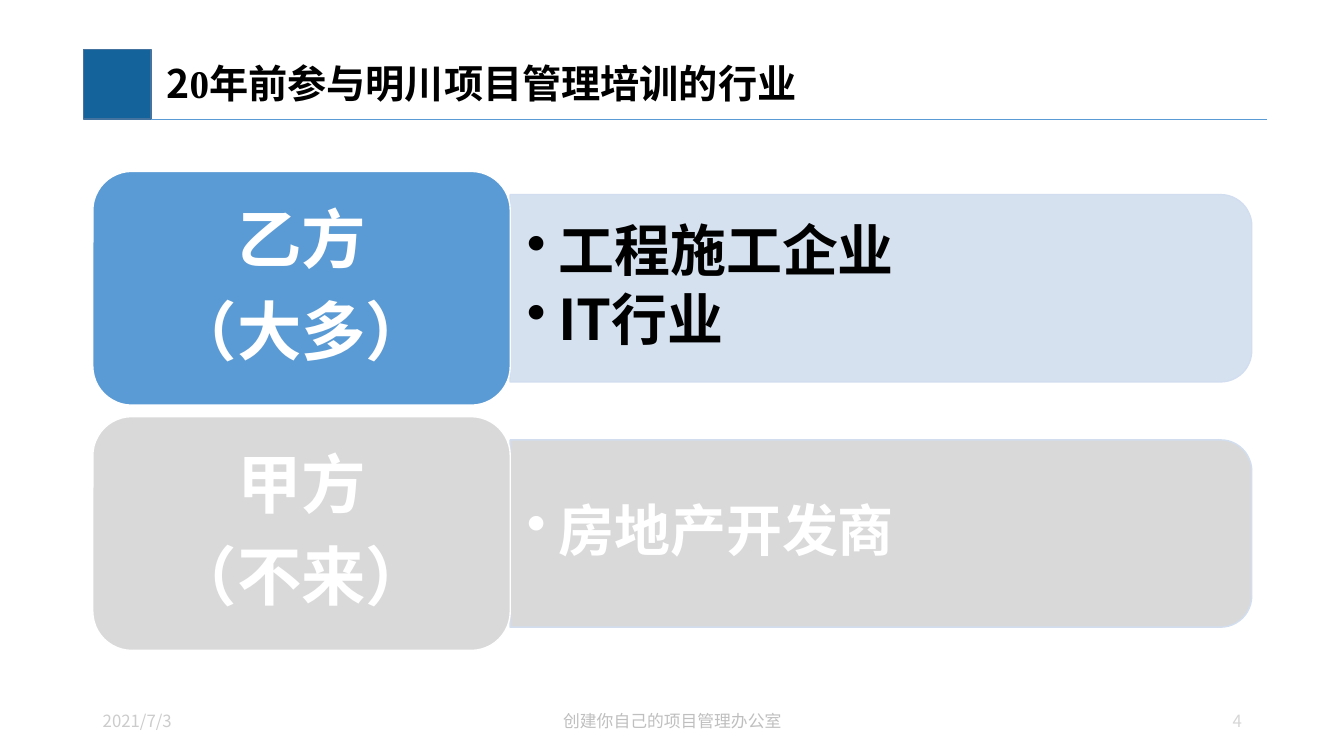
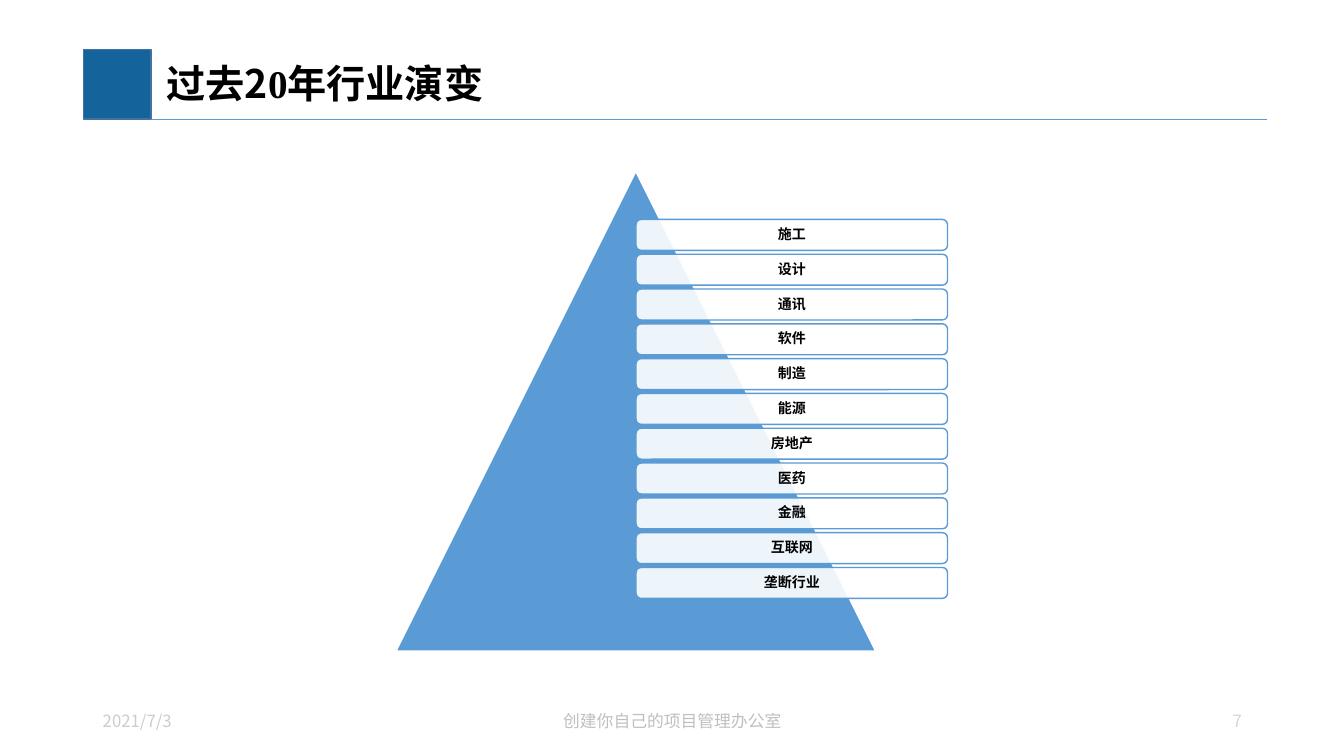
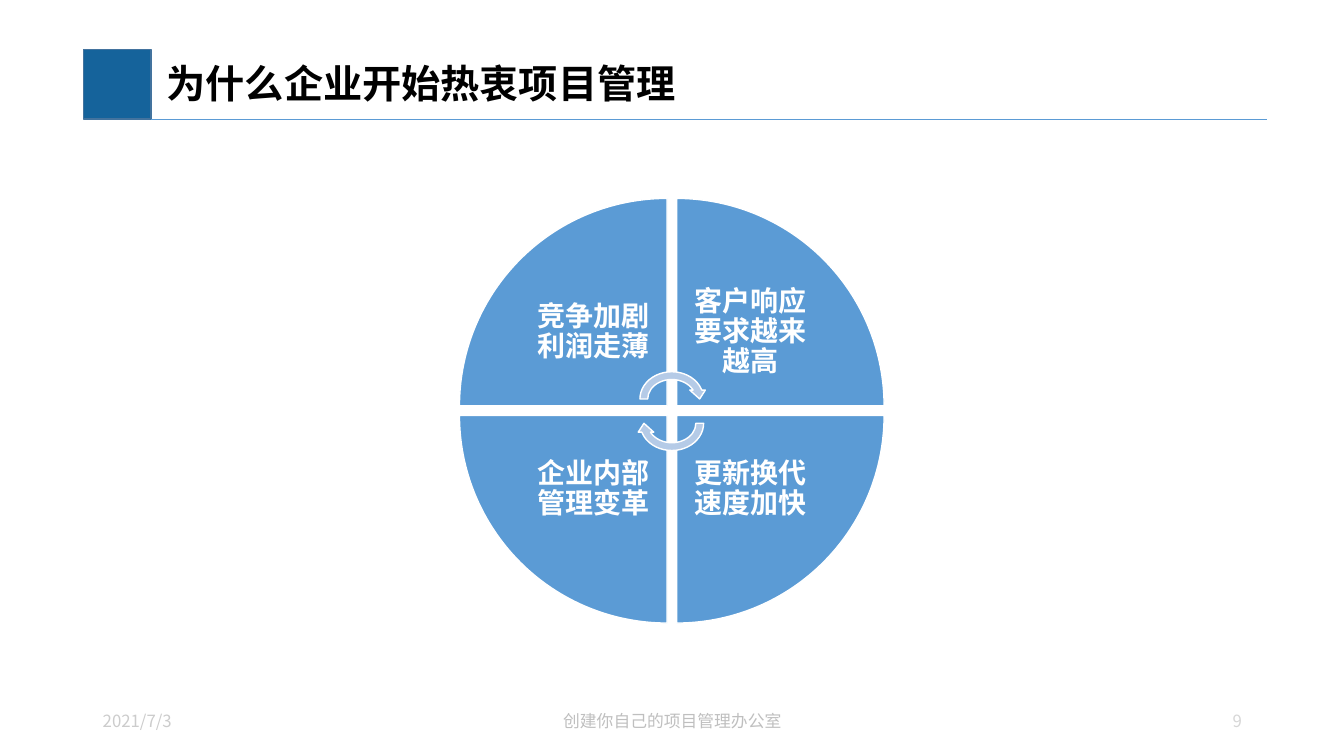
from pptx import Presentation
from pptx.dml.color import RGBColor
from pptx.enum.shapes import MSO_CONNECTOR, MSO_SHAPE
from pptx.enum.text import MSO_ANCHOR, PP_ALIGN
from pptx.oxml.ns import qn
from pptx.util import Cm, Pt
from lxml import etree

RECT, ROUNDED, TRIANGLE = MSO_SHAPE.RECTANGLE, MSO_SHAPE.ROUNDED_RECTANGLE, MSO_SHAPE.ISOSCELES_TRIANGLE
ROUND_TOP, ARROW = MSO_SHAPE.ROUND_2_SAME_RECTANGLE, MSO_SHAPE.CIRCULAR_ARROW
WEDGE = MSO_SHAPE.PIE_WEDGE
STRAIGHT, MIDDLE = MSO_CONNECTOR.STRAIGHT, MSO_ANCHOR.MIDDLE
LEFT, CENTER, RIGHT = PP_ALIGN.LEFT, PP_ALIGN.CENTER, PP_ALIGN.RIGHT
FONT, DIGIT_FONT = "Noto Sans CJK SC", "Times New Roman"
COLORS = {
    "band": "15639B", "band_line": "43739E", "blue": "5B9BD5", "pale": "D2DEEF",
    "arrow": "B5CBE7", "gray": "D9D9D9", "white": "FFFFFF", "black": "000000",
    "date": "CCCCCC", "footer": "BFBFBF", "number": "D6D6D6",
}


def draw(page, kind, box, fill, line, rotation=0, opacity=100):
    """Add a preset shape; box is left, top, width, height in cm."""
    shape = page.shapes.add_shape(kind, *[Cm(side) for side in box])
    shape.shadow.inherit = False
    shape.rotation = rotation
    shape.fill.solid()
    shape.fill.fore_color.rgb = RGBColor.from_string(COLORS[fill])
    shape.line.color.rgb = RGBColor.from_string(COLORS[line])
    shape.line.width = Pt(1)
    if opacity < 100:
        color = shape._element.spPr.find(qn("a:solidFill"))[0]
        etree.SubElement(color, qn("a:alpha"), val=str(opacity * 1000))
    return shape


def write(target, lines, size, color, align=CENTER, bold=True, insets=(0.25, 0.13, 0.25, 0.13),
          spacing=0.9, after=0, bullet=False):
    """Fill a shape or text box; a line is a string or a list of spans."""
    frame = target.text_frame
    frame.word_wrap = True
    frame.vertical_anchor = MIDDLE
    frame.margin_left, frame.margin_top, frame.margin_right, frame.margin_bottom = [Cm(i) for i in insets]
    for index, line in enumerate(lines):
        para = frame.paragraphs[0] if index == 0 else frame.add_paragraph()
        para.alignment = align
        para.line_spacing = spacing
        para.space_after = Pt(size * after)
        for piece in [line] if isinstance(line, str) else line:
            span = para.add_run()
            span.text = piece
            span.font.size, span.font.bold, span.font.name = Pt(size), bold, FONT
            span.font.color.rgb = RGBColor.from_string(COLORS[color])
            etree.SubElement(span.font._element, qn("a:ea"), typeface=FONT)
        if bullet:
            properties = para._p.get_or_add_pPr()
            properties.set("marL", str(Cm(0.79)))
            properties.set("indent", str(-Cm(0.79)))
            etree.SubElement(properties, qn("a:buChar"), char="•")


deck = Presentation()
deck.slide_width, deck.slide_height = Cm(33.87), Cm(19.05)

# Shared title band, rule and footers
titles = [
    (["2", "0", "年前参与明川项目管理培训的行业"], "4"),
    (["过去2", "0", "年行业演变"], "7"),
    (["为什么企业开始热衷项目管理"], "9"),
]
pages = []
for title, number in titles:
    page = deck.slides.add_slide(deck.slide_layouts[6])
    pages.append(page)
    draw(page, RECT, (2.11, 1.25, 1.7, 1.75), "band", "band_line")
    rule = page.shapes.add_connector(STRAIGHT, Cm(3.81), Cm(3), Cm(31.93), Cm(3))
    rule.line.color.rgb = RGBColor.from_string(COLORS["blue"])
    rule.line.width = Pt(0.5)
    etree.SubElement(rule._element.spPr, qn("a:effectLst"))

    heading = page.shapes.add_textbox(Cm(3.8), Cm(1.27), Cm(27.74), Cm(1.78))
    write(heading, [title], 28, "black", LEFT, insets=(0.4, 0.13, 0.25, 0.13))
    for span in heading.text_frame.paragraphs[0].runs:
        if span.text == "0":
            span.font.name = DIGIT_FONT

    footers = [
        ("2021/7/3", 2.34, 7.62, LEFT, "date"),
        ("创建你自己的项目管理办公室", 11.23, 11.43, CENTER, "footer"),
        (number, 23.7, 7.85, RIGHT, "number"),
    ]
    for text, left, width, align, color in footers:
        box = page.shapes.add_textbox(Cm(left), Cm(17.65), Cm(width), Cm(1.02))
        write(box, [text], 12, color, align, bold=False, spacing=1)

industry_page, evolution_page, reasons_page = pages

# Industries: a card and a bar per side
sides = [
    (["乙方", "（大多）"], ["工程施工企业", "IT行业"], "blue", "pale", "black", 90),
    (["甲方", "（不来）"], ["房地产开发商"], "gray", "gray", "white", 100),
]
for row, (party, industries, card_fill, bar_fill, bar_text, opacity) in enumerate(sides):
    drop = row * 6.18
    draw(industry_page, ROUND_TOP, (19.84, -2.08 + drop, 4.72, 18.69), bar_fill, "pale", 90, opacity)
    box = industry_page.shapes.add_textbox(Cm(12.85), Cm(5.13 + drop), Cm(18.47), Cm(4.27))
    write(box, industries, 40, bar_text, LEFT, insets=(0.43, 0.2, 0.43, 0.2), after=0.15, bullet=True)
    card = draw(industry_page, ROUNDED, (2.34, 4.32 + drop, 10.52, 5.89), card_fill, "white")
    write(card, party, 46, "white", insets=(0.48, 0.25, 0.48, 0.25), after=0.35)

# Evolution: triangle with evenly spaced labels
draw(evolution_page, TRIANGLE, (9.98, 4.32, 12.09, 12.09), "blue", "white")
fields = ["施工", "设计", "通讯", "软件", "制造", "能源", "房地产", "医药", "金融", "互联网", "垄断行业"]
first_top, last_top = 5.53, 14.3
pitch = (last_top - first_top) / (len(fields) - 1)
for row, field in enumerate(fields):
    label = draw(evolution_page, ROUNDED, (16.03, first_top + row * pitch, 7.85, 0.78), "white", "blue", opacity=90)
    write(label, [field], 10, "black", insets=(0.1, 0.1, 0.1, 0.1), after=0.35)

# Reasons: four wedges clockwise from top left
reasons = [
    ("竞争加剧 利润走薄", 0, 0), ("客户响应要求越来越高", 1, 0),
    ("更新换代速度加快", 1, 1), ("企业内部管理变革", 0, 1),
]
wedge, step, label_side = 5.23, 5.47, 3.71
for turn, (reason, column, row) in enumerate(reasons):
    left, top = 11.58 + column * step, 5 + row * step
    draw(reasons_page, WEDGE, (left, top, wedge, wedge), "blue", "white", turn * 90)
    inward = wedge - label_side
    box = reasons_page.shapes.add_textbox(
        Cm(left + inward * (1 - column)), Cm(top + inward * (1 - row)), Cm(label_side), Cm(label_side))
    write(box, [reason], 20, "white", insets=(0.41, 0.41, 0.41, 0.41), after=0.35)

# Cycle arrows in the centre
for top, rotation in [(9.27, 0), (9.88, 180)]:
    draw(reasons_page, ARROW, (16.03, top, 1.8, 1.57), "arrow", "white", rotation)

deck.save("out.pptx")
